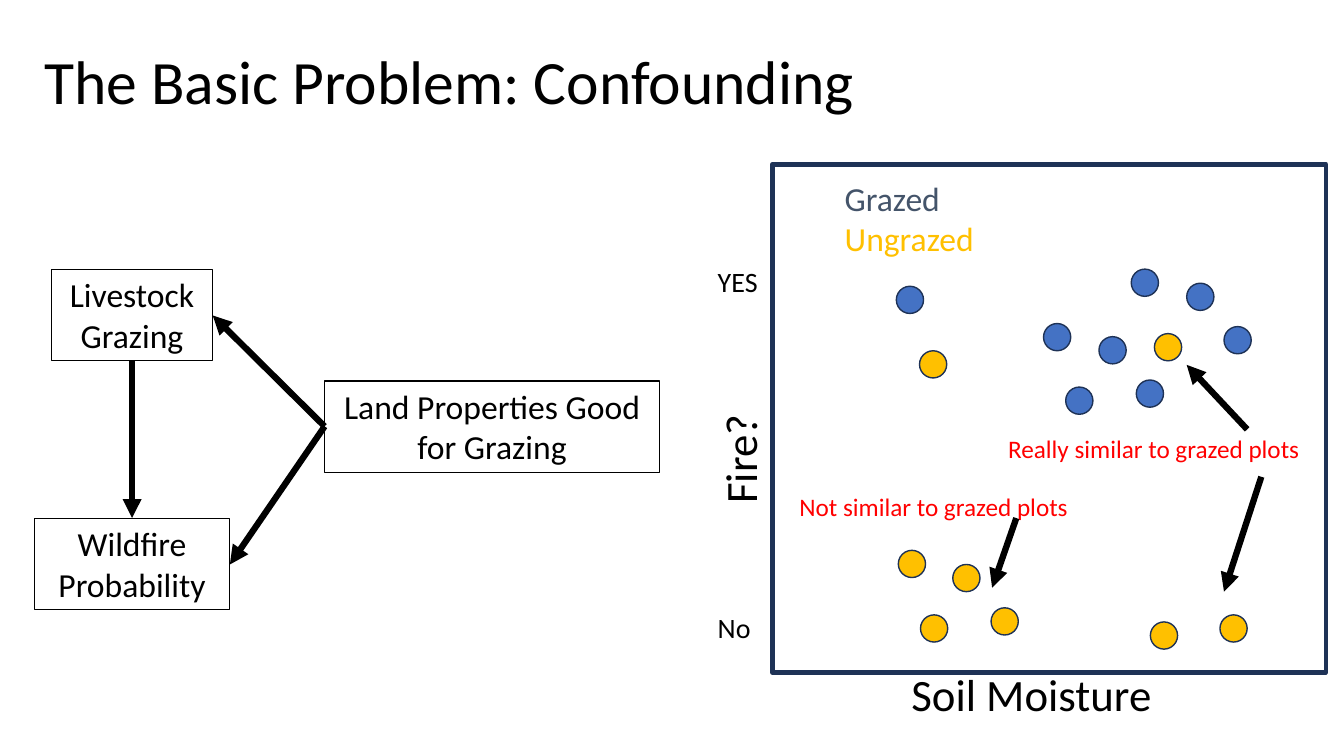
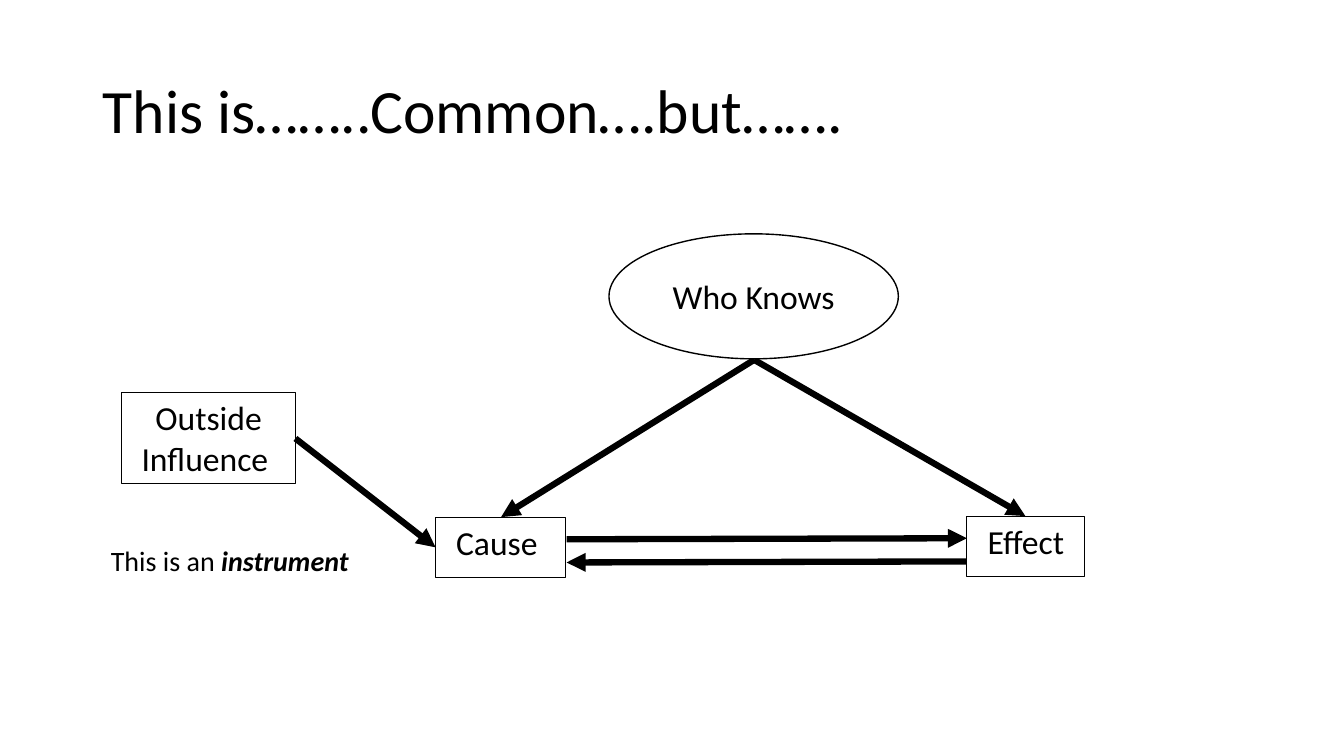
from lxml import etree
from pptx import Presentation
from pptx import util as u
from pptx.dml.color import RGBColor
from pptx.enum import shapes, text
from pptx.oxml.ns import qn

SCALE = 9144  # EMU per px, 100 px to the inch
FONT = "Calibri"
BLACK, WHITE, RED = "000000", "FFFFFF", "FF0000"
BLUE, GOLD, NAVY, SLATE = "4472C4", "FFC000", "1E3256", "44546A"


def px(*lengths):
    return [u.Emu(n * SCALE) for n in lengths]


def rgb(code):
    return RGBColor.from_string(code)


class Deck:
    """Shared style and the slide being drawn."""

    def __init__(self):
        self.prs = Presentation()
        self.prs.slide_width, self.prs.slide_height = px(1333, 750)
        self.s = None

    def slide(self, title, left, top):
        self.s = self.prs.slides.add_slide(self.prs.slide_layouts[5])
        sp = self.s.shapes.title
        sp.left, sp.top, sp.width, sp.height = px(left, top, 1150, 145)
        self.set_text(sp, [title], 44, anchor=text.MSO_ANCHOR.MIDDLE)
        sp.text_frame.paragraphs[0].line_spacing = 0.9

    def set_text(self, sp, lines, size, color=BLACK, align=text.PP_ALIGN.LEFT,
                 anchor=text.MSO_ANCHOR.TOP, wrap=True):
        tf = sp.text_frame
        tf.word_wrap = wrap
        tf.vertical_anchor = anchor
        tf.text = "\n".join(lines)
        for p in tf.paragraphs:
            p.alignment = align
            p.font.name = FONT
            p.font.size = u.Pt(size)
            p.font.color.rgb = rgb(color)

    def label(self, line, at, size, color=BLACK, rotation=0):
        sp = self.s.shapes.add_textbox(*px(*at))
        sp.rotation = rotation
        self.set_text(sp, [line], size, color, wrap=False)
        return sp

    def shape(self, kind, at, fill=None, line=BLACK, weight=1):
        sp = self.s.shapes.add_shape(kind, *px(*at))
        sp.shadow.inherit = False
        if fill:
            sp.fill.solid()
            sp.fill.fore_color.rgb = rgb(fill)
        else:
            sp.fill.background()
        sp.line.color.rgb = rgb(line)
        sp.line.width = u.Pt(weight)
        return sp

    def box(self, lines, at, wrap=True):
        sp = self.shape(shapes.MSO_SHAPE.RECTANGLE, at, weight=0.75)
        self.set_text(sp, lines, 24, align=text.PP_ALIGN.CENTER, wrap=wrap)

    def oval(self, line, at):
        sp = self.shape(shapes.MSO_SHAPE.OVAL, at, WHITE)
        self.set_text(sp, [line], 24, align=text.PP_ALIGN.CENTER,
                      anchor=text.MSO_ANCHOR.MIDDLE)

    def dots(self, color, corners):
        for left, top in corners:
            self.shape(shapes.MSO_SHAPE.OVAL, (left, top, 27, 27), color, NAVY)

    def arrow(self, *ends):
        c = self.s.shapes.add_connector(shapes.MSO_CONNECTOR.STRAIGHT, *px(*ends))
        c.line.color.rgb = rgb(BLACK)
        c.line.width = u.Pt(4.5)
        props = c._element.spPr
        etree.SubElement(props.find(qn("a:ln")), qn("a:tailEnd"), type="triangle")
        etree.SubElement(props, qn("a:effectLst"))


def confounding(d):
    d.slide("The Basic Problem: Confounding", 34, 11)

    # Causal diagram
    d.arrow(131, 358, 131, 514)
    d.arrow(322, 423, 211, 313)
    d.arrow(322, 423, 228, 560)
    d.box(["Wildfire", "Probability"], (34, 514, 194, 91))
    d.box(["Livestock Grazing"], (51, 267, 160, 91))
    d.box(["Land Properties Good for Grazing"], (322, 378, 332, 91))

    # Plot frame and axis labels
    d.shape(shapes.MSO_SHAPE.RECTANGLE, (766, 163, 549, 504), line=NAVY, weight=3.25)
    d.label("Fire?", (679, 423, 109, 64), 32, rotation=270)
    d.label("Soil Moisture", (894, 657, 261, 64), 32)
    d.label("YES", (702, 258, 60, 44), 20)
    d.label("No", (702, 601, 53, 44), 20)

    # Grazed and ungrazed plots
    d.dots(BLUE, [(1122, 267), (1214, 324), (1177, 281), (1035, 321),
                  (1127, 377), (1057, 384), (1090, 334), (889, 284)])
    d.dots(GOLD, [(1145, 331), (891, 546), (983, 603), (913, 610), (945, 560),
                  (1210, 610), (1141, 617), (912, 348)])

    # Remarks and legend
    d.label("Really similar to grazed plots", (990, 425, 312, 40), 18, RED)
    d.label("Not similar to grazed plots", (783, 483, 289, 40), 18, RED)
    d.arrow(1237, 426, 1177, 362)
    d.arrow(1251, 473, 1214, 587)
    d.arrow(1008, 514, 984, 583)
    d.label("Grazed", (828, 172, 116, 50), 24, SLATE)
    d.label("Ungrazed", (828, 211, 150, 50), 24, GOLD)


def instrument(d):
    d.slide("This is……..Common….but…….", 92, 40)

    # Cause and effect with a hidden common cause
    d.box(["Cause "], (432, 513, 129, 60), wrap=False)
    d.box(["Effect"], (959, 512, 117, 60), wrap=False)
    d.arrow(562, 535, 959, 534)
    d.arrow(959, 557, 562, 558)
    d.arrow(748, 357, 497, 513)
    d.arrow(748, 357, 1017, 512)
    d.oval("Who Knows", (604, 232, 287, 124))

    # Instrument
    d.box(["Outside", "Influence "], (121, 389, 172, 91))
    d.arrow(293, 435, 432, 543)
    sp = d.label("This is an ", (100, 534, 258, 44), 20)
    r = sp.text_frame.paragraphs[0].add_run()
    r.text = "instrument"
    r.font.bold = r.font.italic = True


def main():
    d = Deck()
    confounding(d)
    instrument(d)
    d.prs.save("out.pptx")


if __name__ == "__main__":
    main()
